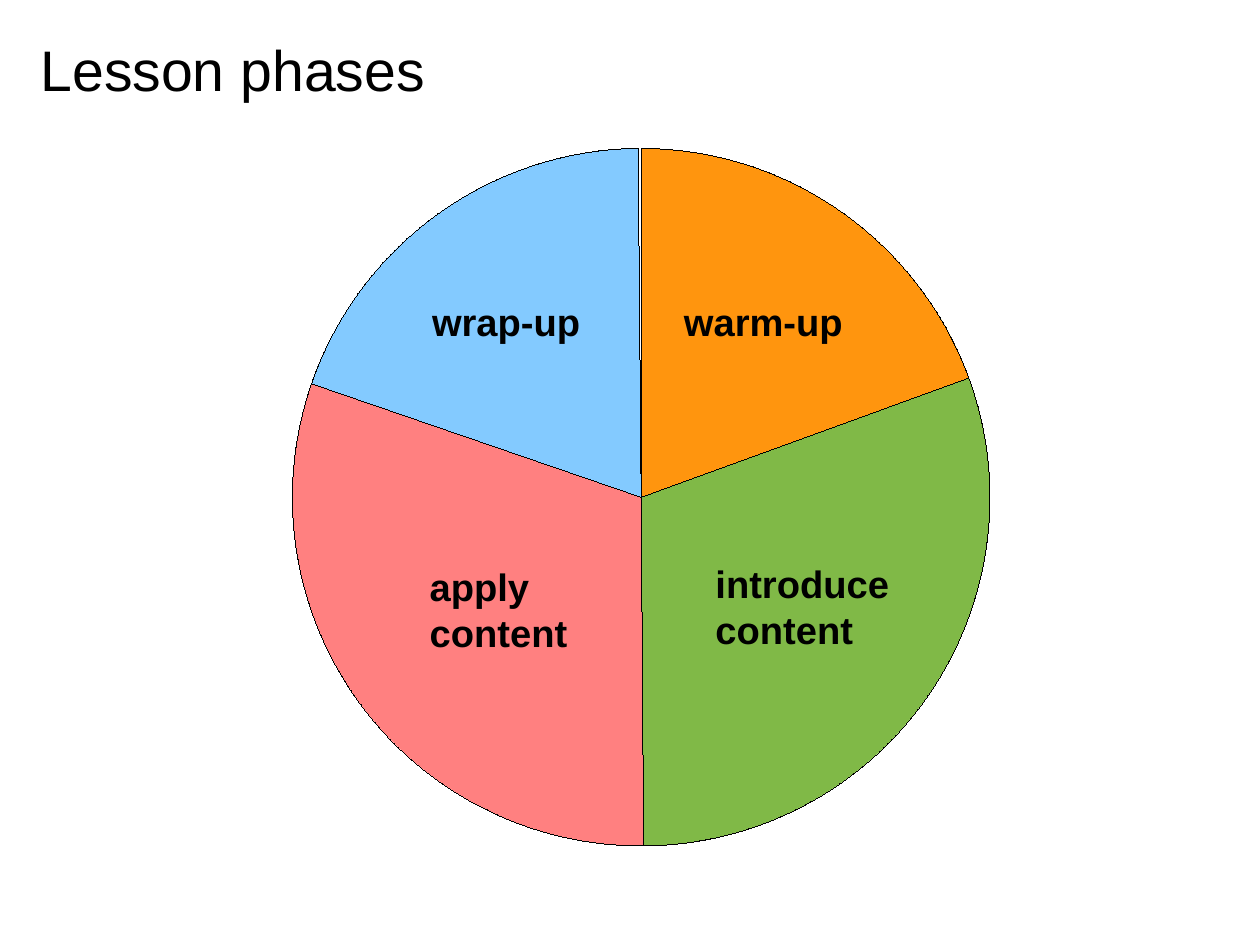
from pptx import Presentation
from pptx.dml.color import RGBColor
from pptx.enum.shapes import MSO_SHAPE
from pptx.enum.text import MSO_ANCHOR, MSO_AUTO_SIZE, PP_ALIGN
from pptx.util import Pt

PX = 9000  # EMU per px, 40 px to the centimetre
THEME = {
    "font": "Arial", "title": Pt(36), "label": Pt(24), "hairline": Pt(0.01),
    "black": RGBColor.from_string("000000"),
    "red": RGBColor.from_string("FF8080"),
    "blue": RGBColor.from_string("83CAFF"),
    "green": RGBColor.from_string("80B947"),
    "orange": RGBColor.from_string("FF950E"),
}


def place(sp, left, top, width, height):
    sp.left, sp.top, sp.width, sp.height = (v * PX for v in (left, top, width, height))


def write(tf, text, size, bold):
    tf.text = text
    for p in tf.paragraphs:
        p.alignment = PP_ALIGN.LEFT
        for r in p.runs:
            r.font.name = THEME["font"]
            r.font.size = size
            r.font.bold = bold
            r.font.color.rgb = THEME["black"]


prs = Presentation()
prs.slide_width, prs.slide_height = 1120 * PX, 840 * PX
s = prs.slides.add_slide(prs.slide_layouts[5])

# Title
title = s.shapes.title
place(title, 36, 18, 1008, 86)
tf = title.text_frame
tf.margin_left = tf.margin_right = tf.margin_top = tf.margin_bottom = 0
tf.vertical_anchor = MSO_ANCHOR.MIDDLE
tf.auto_size = MSO_AUTO_SIZE.SHAPE_TO_FIT_TEXT
write(tf, "Lesson phases", THEME["title"], False)

# Sectors: colour, start and end in degrees clockwise from the right;
# neighbours overlap, so later sectors cover the earlier ones
sectors = [
    ("red", 89.5, 206),
    ("blue", 199, 269.5),
    ("green", 329, 89.6),
    ("orange", 270, 340),
]
for color, start, end in sectors:
    sp = s.shapes.add_shape(MSO_SHAPE.PIE, 260 * PX, 132 * PX, 620 * PX, 620 * PX)
    sp.adjustments[0] = start * 0.6
    sp.adjustments[1] = end * 0.6
    sp.shadow.inherit = False
    sp.fill.solid()
    sp.fill.fore_color.rgb = THEME[color]
    sp.line.color.rgb = THEME["black"]
    sp.line.width = THEME["hairline"]

# Phase labels
labels = [
    ("introduce\ncontent", 626, 493, 176, 87),
    ("apply\vcontent", 372, 496, 144, 87),
    ("wrap-up", 374, 260, 153, 49),
    ("warm-up", 598, 260, 162, 49),
]
for text, *box in labels:
    sp = s.shapes.add_textbox(0, 0, 0, 0)
    place(sp, *box)
    tf = sp.text_frame
    tf.word_wrap = False
    tf.auto_size = MSO_AUTO_SIZE.SHAPE_TO_FIT_TEXT
    write(tf, text, THEME["label"], True)

prs.save("out.pptx")
